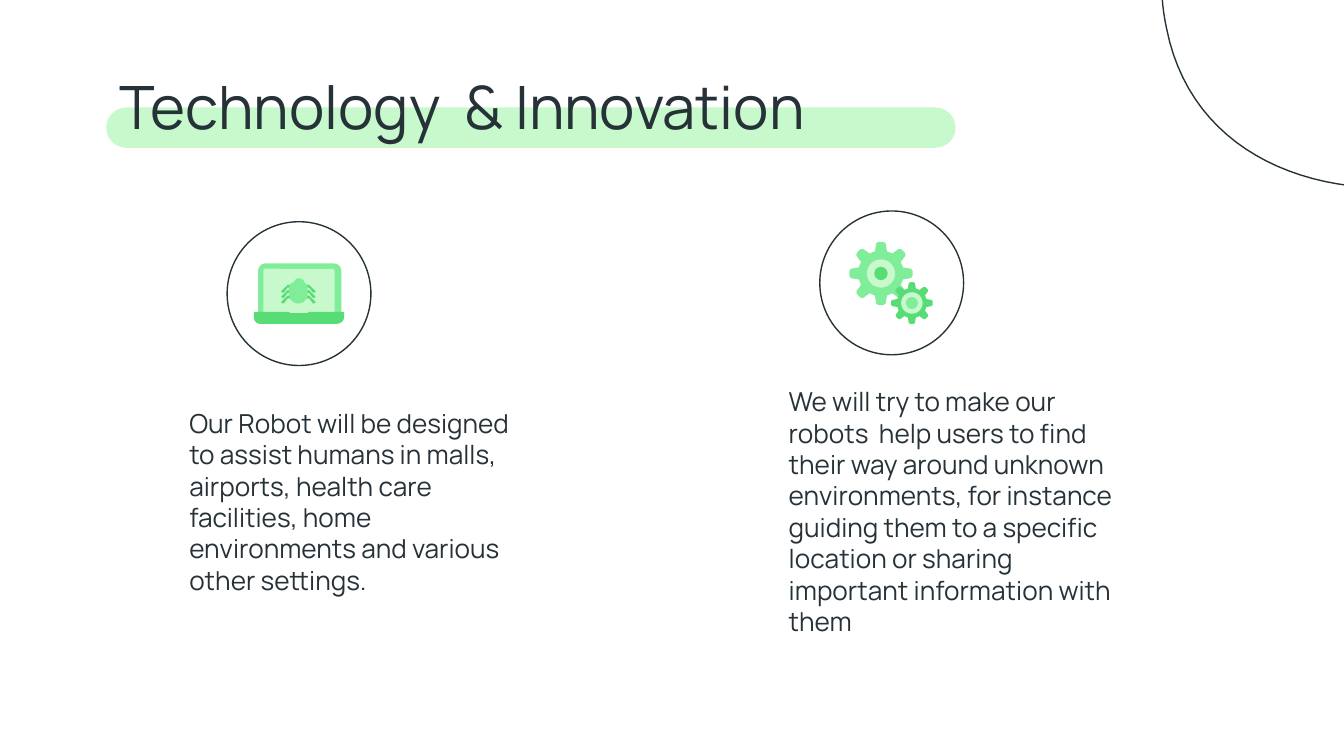
from math import cos, pi, sin

from pptx import Presentation
from pptx.dml.color import RGBColor
from pptx.enum.shapes import MSO_SHAPE as Kind
from pptx.enum.text import MSO_ANCHOR as Anchor, PP_ALIGN as Align
from pptx.util import Inches, Pt

HUES = {"ink": "263238", "pale": "C7F9CC", "mid": "80ED99", "deep": "58DD76"}

WIDE = Inches(10)
TALL = WIDE * 9 // 16

TITLE = ("Technology  & Innovation", (0.79, 0.42, 8.43, 0.67), 32)
NOTES = [
    ("Our Robot will be designed to assist humans in malls, airports, "
     "health care facilities, home environments and various other settings.",
     (1.31, 2.93, 2.61, 0.93), 14),
    ("We will try to make our robots  help users to find their way around "
     "unknown environments, for instance guiding them to a specific location "
     "or sharing important information with them",
     (5.77, 2.77, 2.61, 0.93), 14),
]
BAR = (0.79, 0.8, 6.32, 0.3)
RINGS = [(1.69, 1.65, 1.07, 1.07), (6.1, 1.57, 1.07, 1.07)]

# Outlines: a pair is a corner, six numbers are a Bezier curve
BLOB = [
    (12.11, -1.85),
    (12.03, -1.85, 11.93, -1.82, 11.83, -1.77),
    (11.44, -1.57, 11.41, -1.13, 10.88, -1.11),
    (10.83, -1.1, 10.78, -1.1, 10.73, -1.1),
    (10.48, -1.1, 10.24, -1.13, 10.02, -1.13),
    (9.75, -1.13, 9.48, -1.09, 9.18, -0.93),
    (8.68, -0.66, 8.58, -0.26, 8.68, 0.21),
    (8.84, 1.02, 9.54, 1.4, 10.34, 1.4),
    (10.69, 1.4, 11.05, 1.33, 11.39, 1.2),
    (12.49, 0.78, 13, -0.2, 12.75, -1.17),
    (12.68, -1.46, 12.47, -1.85, 12.11, -1.85),
]
BASE = [
    (1.89, 2.32), (1.89, 2.36),
    (1.89, 2.39, 1.91, 2.41, 1.94, 2.41), (2.5, 2.41),
    (2.53, 2.41, 2.56, 2.39, 2.56, 2.36), (2.56, 2.32),
    (2.3, 2.32), (2.29, 2.33), (2.16, 2.33), (2.15, 2.32),
]
LEG = [(2.21, 2.12), (2.14, 2.12), (2.09, 2.17), (2.11, 2.18),
       (2.14, 2.14), (2.21, 2.14)]
LEG_ROWS, LEG_STEP, BUG_MID = 3, 0.04, 2.22

# Laptop parts: kind, place, hue, corner values
LID = [
    (Kind.ROUND_2_SAME_RECTANGLE, (1.92, 1.96, 0.62, 0.42), "mid", (0.13, 0)),
    (Kind.ROUNDED_RECTANGLE, (1.96, 2, 0.53, 0.38), "pale", (0.04,)),
]
BUG = [
    (Kind.OVAL, (2.18, 2.07, 0.09, 0.1), "mid", ()),
    (Kind.ROUND_2_SAME_RECTANGLE, (2.15, 2.1, 0.14, 0.16), "mid", (0.3, 0.5)),
]

# Gears: left, top, size and hue, then the discs inside
GEARS = [
    (6.32, 1.8, 0.47, "mid", [(0.21, "pale"), (0.1, "deep")]),
    (6.63, 2.1, 0.31, "deep", [(0.16, "pale"), (0.09, "mid")]),
]
TEETH = 8
# One tooth as (height, half width) shares of the gear radius
TOOTH = [(0.7, -0.19), (0.95, -0.15), (1, -0.08),
         (1, 0.08), (0.95, 0.15), (0.7, 0.19)]


def tint(hue):
    return RGBColor.from_string(HUES[hue])


def paint(shape, fill=None, line=None):
    shape.shadow.inherit = False
    if fill:
        shape.fill.solid()
        shape.fill.fore_color.rgb = tint(fill)
    else:
        shape.fill.background()
    if line:
        shape.line.color.rgb = tint(line)
        shape.line.width = Pt(0.75)
    else:
        shape.line.fill.background()


def place(shapes, kind, box, fill=None, adj=(), line=None):
    shape = shapes.add_shape(kind, *map(Inches, box))
    for i, val in enumerate(adj):
        shape.adjustments[i] = val
    paint(shape, fill, line)


def trace(outline, steps=24):
    """Turn corners and curves into plain points."""
    pts = []
    for part in outline:
        if len(part) == 2:
            pts.append(part)
            continue
        ends = [pts[-1], part[:2], part[2:4], part[4:]]
        for n in range(1, steps + 1):
            t = n / steps
            mix = ((1 - t) ** 3, 3 * t * (1 - t) ** 2,
                   3 * t * t * (1 - t), t ** 3)
            pts.append(tuple(sum(m * p[k] for m, p in zip(mix, ends))
                             for k in (0, 1)))
    return pts


def draw(shapes, outline, fill=None, line=None):
    pts = [(Inches(x), Inches(y)) for x, y in trace(outline)]
    pen = shapes.build_freeform(*pts[0])
    pen.add_line_segments(pts[1:], close=True)
    paint(pen.convert_to_shape(), fill, line)


def write(shapes, text, box, size):
    frame = shapes.add_textbox(*map(Inches, box)).text_frame
    pad = Inches(0.1)
    look = {"word_wrap": True, "vertical_anchor": Anchor.TOP,
            "margin_left": pad, "margin_right": pad,
            "margin_top": pad, "margin_bottom": pad}
    for key, val in look.items():
        setattr(frame, key, val)
    para = frame.paragraphs[0]
    para.alignment = Align.LEFT
    run = para.add_run()
    run.text = text
    for key, val in {"name": "Manrope", "size": Pt(size)}.items():
        setattr(run.font, key, val)
    run.font.color.rgb = tint("ink")


def gear(shapes, left, top, size, hue, discs):
    r = size / 2
    x, y = left + r, top + r
    rim = []
    for n in range(TEETH):
        a = 2 * pi * n / TEETH
        rim += [(x + r * (h * sin(a) + w * cos(a)),
                 y + r * (w * sin(a) - h * cos(a))) for h, w in TOOTH]
    draw(shapes, rim, hue)
    for wide, fill in discs:
        place(shapes, Kind.OVAL, (x - wide / 2, y - wide / 2, wide, wide), fill)


def laptop(shapes):
    for part in LID:
        place(shapes, *part)
    for row in range(LEG_ROWS):
        left = [(x, y + row * LEG_STEP) for x, y in LEG]
        right = [(2 * BUG_MID - x, y) for x, y in left]
        for leg in (left, right):
            draw(shapes, leg, "deep")
    for part in BUG:
        place(shapes, *part)
    draw(shapes, BASE, "deep")


def main():
    deck = Presentation()
    deck.slide_width, deck.slide_height = WIDE, TALL
    shapes = deck.slides.add_slide(deck.slide_layouts[6]).shapes
    place(shapes, Kind.ROUNDED_RECTANGLE, BAR, "pale", (0.5,))
    draw(shapes, BLOB, line="ink")
    for item in [TITLE, *NOTES]:
        write(shapes, *item)
    for box in RINGS:
        place(shapes, Kind.OVAL, box, line="ink")
    for item in GEARS:
        gear(shapes, *item)
    laptop(shapes)
    deck.save("out.pptx")


if __name__ == "__main__":
    main()
